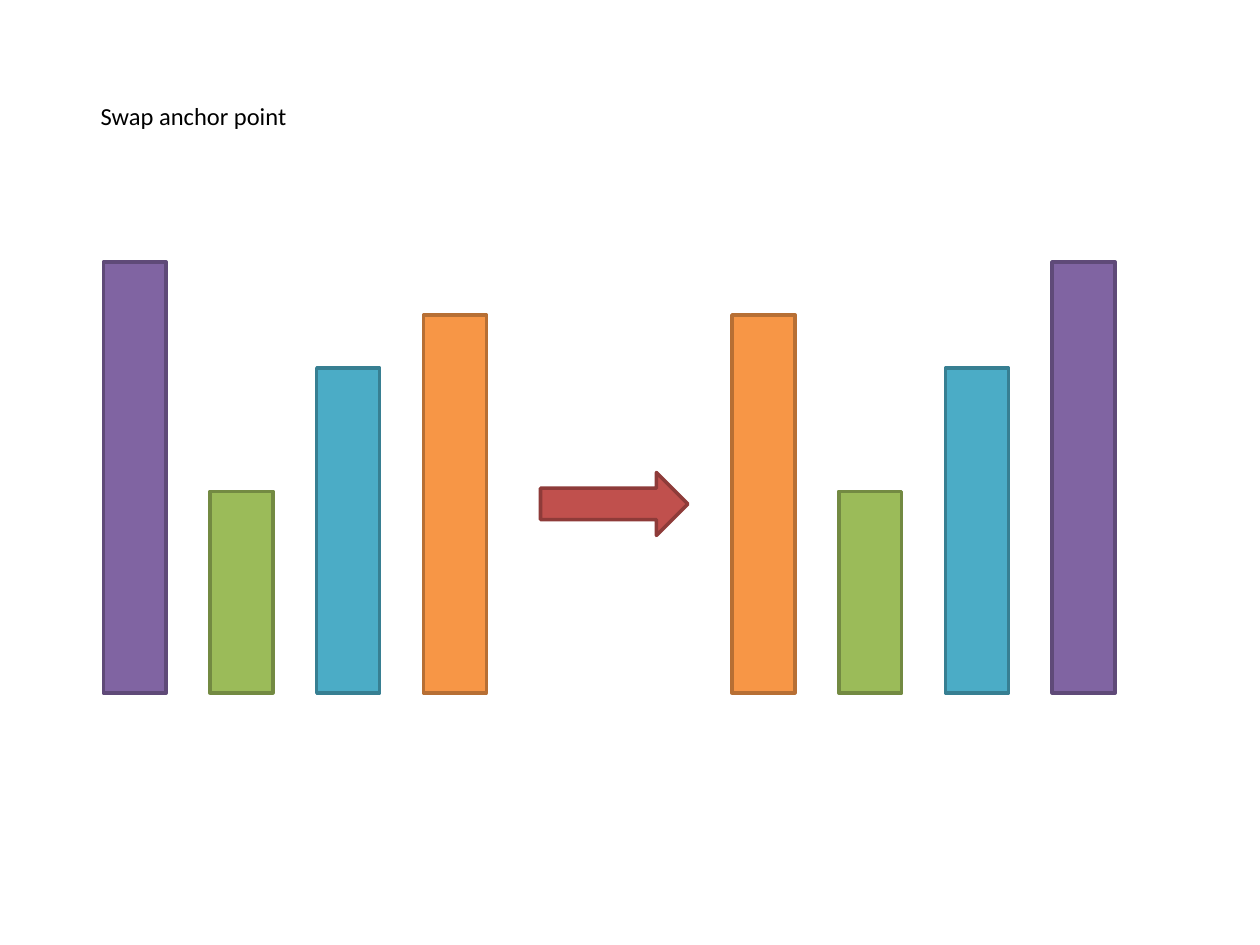
from pptx import Presentation
from pptx.dml.color import RGBColor
from pptx.enum.shapes import MSO_SHAPE
from pptx.enum.text import MSO_AUTO_SIZE
from pptx.util import Inches, Pt

RECT = MSO_SHAPE.RECTANGLE
ARROW = MSO_SHAPE.RIGHT_ARROW
GROW = MSO_AUTO_SIZE.SHAPE_TO_FIT_TEXT

BLACK = RGBColor(0x00, 0x00, 0x00)
PURPLE = RGBColor(0x80, 0x64, 0xA2)
PURPLE_LINE = RGBColor(0x5F, 0x4A, 0x78)
GREEN = RGBColor(0x9B, 0xBB, 0x59)
GREEN_LINE = RGBColor(0x73, 0x8A, 0x42)
TEAL = RGBColor(0x4B, 0xAC, 0xC6)
TEAL_LINE = RGBColor(0x37, 0x7F, 0x92)
ORANGE = RGBColor(0xF7, 0x96, 0x46)
ORANGE_LINE = RGBColor(0xB7, 0x6F, 0x34)
RED = RGBColor(0xC0, 0x50, 0x4D)
RED_LINE = RGBColor(0x8E, 0x3B, 0x39)

BASELINE = 5.5
BAR_WIDTH = 0.5
BAR_STEP = 0.847

prs = Presentation()
prs.slide_width = Inches(10)
prs.slide_height = Inches(7.5)
s = prs.slides.add_slide(prs.slide_layouts[6])


def add_block(kind, left, top, width, height, fill, line):
    sp = s.shapes.add_shape(
        kind, Inches(left), Inches(top), Inches(width), Inches(height))
    sp.shadow.inherit = False
    sp.fill.solid()
    sp.fill.fore_color.rgb = fill
    sp.line.color.rgb = line
    sp.line.width = Pt(2)


purple = (3.42, PURPLE, PURPLE_LINE)
green = (1.6, GREEN, GREEN_LINE)
teal = (2.58, TEAL, TEAL_LINE)
orange = (3, ORANGE, ORANGE_LINE)

groups = [
    (0.82, [purple, green, teal, orange]),
    (5.81, [orange, green, teal, purple]),
]
for start, bars in groups:
    for i, (height, fill, line) in enumerate(bars):
        add_block(RECT, start + i * BAR_STEP, BASELINE - height,
                  BAR_WIDTH, height, fill, line)

add_block(ARROW, 4.29, 3.75, 1.17, 0.5, RED, RED_LINE)

tb = s.shapes.add_textbox(Inches(0.7), Inches(0.75), Inches(5.96), Inches(0.34))
tf = tb.text_frame
tf.word_wrap = True
tf.auto_size = GROW
r = tf.paragraphs[0].add_run()
r.text = "Swap anchor point"
for name, value in {"name": "Calibri", "size": Pt(14)}.items():
    setattr(r.font, name, value)
r.font.color.rgb = BLACK

prs.save("out.pptx")
